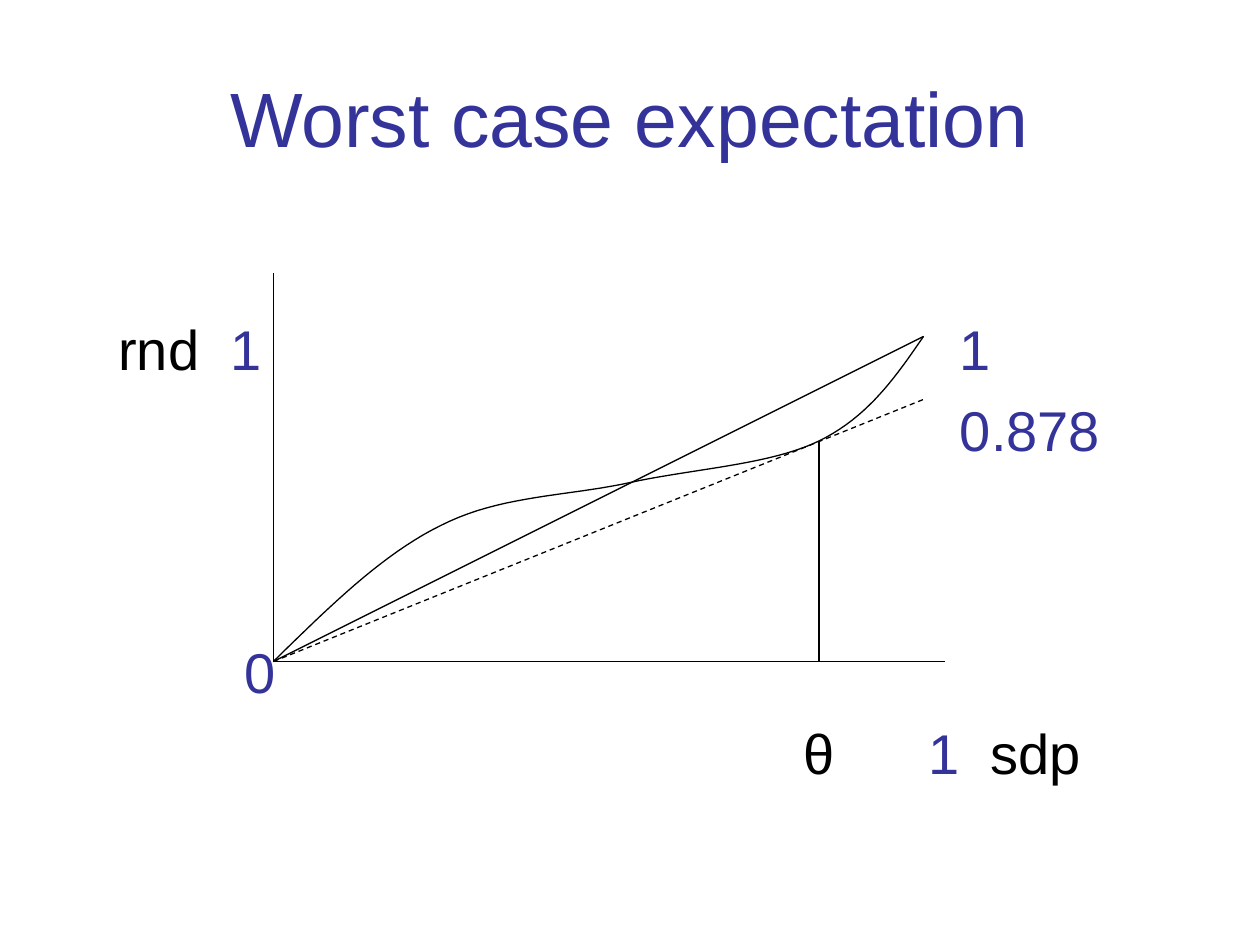
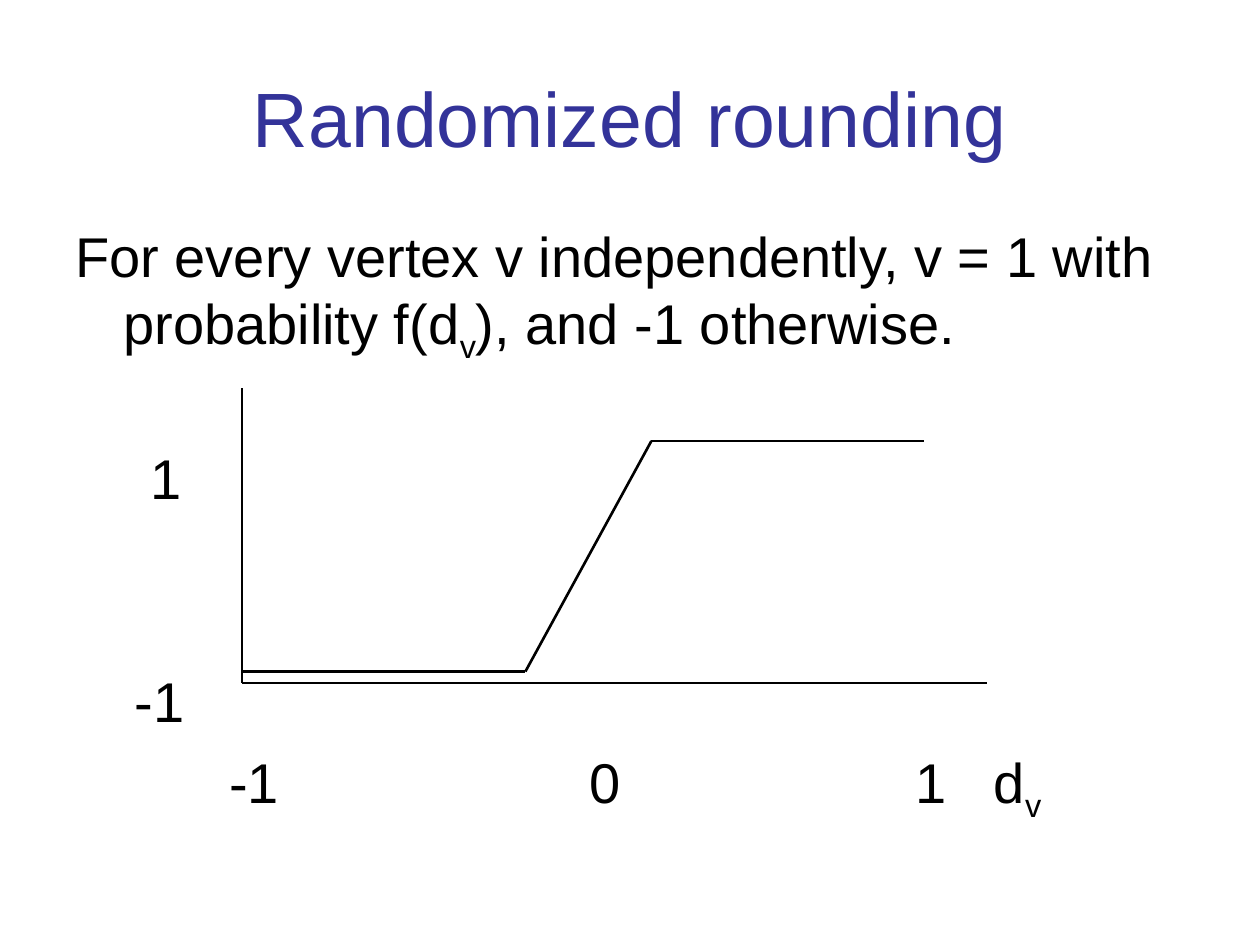
from itertools import pairwise

from lxml.etree import SubElement
from pptx import Presentation
from pptx.dml.color import RGBColor
from pptx.enum.dml import MSO_LINE
from pptx.enum.shapes import MSO_CONNECTOR
from pptx.enum.text import MSO_ANCHOR, PP_ALIGN
from pptx.oxml.ns import qn
from pptx.util import Inches, Pt

FONT = "Arial"
BLUE, BLACK = "333399", "000000"
BODY_SIZE = 32
THIN, THICK = 0.75, 1.5


def rgb(color):
    return RGBColor.from_string(color)


def bezier(p0, p1, p2, p3, steps=20):
    """Points on a cubic curve, without its start point."""
    for i in range(1, steps + 1):
        t = i / steps
        weights = (1 - t) ** 3, 3 * t * (1 - t) ** 2, 3 * t**2 * (1 - t), t**3
        yield tuple(sum(w * c for w, c in zip(weights, coords))
                    for coords in zip(p0, p1, p2, p3))


class Deck:
    def __init__(self):
        self.prs = Presentation()
        self.prs.slide_width, self.prs.slide_height = Inches(10), Inches(7.5)
        self.shapes = None

    def slide(self, title):
        self.shapes = self.prs.slides.add_slide(self.prs.slide_layouts[6]).shapes
        p = self.text(0.5, 0.3, 9, 1.25, [title], BLUE, 44)
        p.alignment = PP_ALIGN.CENTER

    def text(self, x, y, w, h, parts, color=BLACK, size=BODY_SIZE):
        """Parts alternate between normal text and subscripts."""
        box = self.shapes.add_textbox(Inches(x), Inches(y), Inches(w), Inches(h))
        tf = box.text_frame
        tf.word_wrap = True
        tf.vertical_anchor = MSO_ANCHOR.MIDDLE if size > BODY_SIZE else MSO_ANCHOR.TOP
        p = tf.paragraphs[0]
        for i, part in enumerate(parts):
            r = p.add_run()
            r.text = part
            if i % 2:
                r.font._element.set("baseline", "-25000")
        p.font.name, p.font.size = FONT, Pt(size)
        p.font.color.rgb = rgb(color)
        return p

    def body(self, *parts):
        p = self.text(0.5, 1.77, 9, 1.2, parts)
        p.line_spacing = 0.9
        pPr = p._p.get_or_add_pPr()
        pPr.set("marL", str(Inches(0.38)))
        pPr.set("indent", str(-Inches(0.38)))

    def label(self, x, y, *parts, color=BLACK):
        """Short text whose first letter starts at x, y."""
        self.text(x - 0.1, y - 0.05, 1.6, 0.61, parts, color)

    def line(self, start, end, width=THIN, dashed=False):
        ends = [Inches(v) for v in (*start, *end)]
        c = self.shapes.add_connector(MSO_CONNECTOR.STRAIGHT, *ends)
        c.line.color.rgb = rgb(BLACK)
        c.line.width = Pt(width)
        if dashed:
            c.line.dash_style = MSO_LINE.DASH
        SubElement(c._element.spPr, qn("a:effectLst"))

    def curve(self, start, segments):
        points = []
        begin = start
        for segment in segments:
            points += bezier(begin, *segment)
            begin = segment[-1]
        builder = self.shapes.build_freeform(*map(Inches, start))
        builder.add_line_segments([tuple(map(Inches, pt)) for pt in points], close=False)
        sp = builder.convert_to_shape()
        sp.shadow.inherit = False
        sp.fill.background()
        sp.line.color.rgb = rgb(BLACK)
        sp.line.width = Pt(THIN)


def worst_case(deck):
    deck.slide("Worst case expectation")
    top, pitch = 2.5, 0.64
    for x, row, text, color in (
        (0.94, 0, "rnd", BLACK), (1.83, 0, "1", BLUE), (7.62, 0, "1", BLUE),
        (7.62, 1, "0.878", BLUE), (1.94, 4, "0", BLUE),
        (6.38, 5, "θ", BLACK), (7.37, 5, "1", BLUE), (7.86, 5, "sdp", BLACK),
    ):
        deck.label(x, top + row * pitch, text, color=color)

    origin, tangent, end = (2.17, 5.25), (6.5, 3.5), (7.33, 2.67)
    deck.line((2.17, 2.17), origin)
    deck.line(origin, (7.5, 5.25))
    deck.line(origin, end)
    deck.curve(origin, [
        ((2.6, 4.83), (3.03, 4.4), (3.5, 4.17)),
        ((3.97, 3.93), (4.5, 3.94), (5, 3.83)),
        ((5.5, 3.72), (6.11, 3.69), tangent),
        ((6.89, 3.31), (7.11, 2.99), end),
    ])
    deck.line(tangent, (6.5, 5.25))
    deck.line(origin, (7.33, 3.17), dashed=True)


def rounding(deck):
    deck.slide("Randomized rounding")
    deck.body("For every vertex v independently, v = 1 with probability f(d",
              "v", "), and -1 otherwise.")
    deck.label(1.2, 3.52, "1")
    deck.label(1.07, 5.29, "-1")
    for x, parts in ((1.82, ["-1"]), (4.68, ["0"]), (7.27, ["1"]), (7.89, ["d", "v"])):
        deck.label(x, 5.93, *parts)

    origin = (1.92, 5.42)
    deck.line(origin, (7.83, 5.42))
    deck.line(origin, (1.92, 3.08))
    steps = [(1.92, 5.33), (4.17, 5.33), (5.17, 3.5), (7.33, 3.5)]
    for start, end in pairwise(steps):
        deck.line(start, end, THICK)


def main():
    deck = Deck()
    worst_case(deck)
    rounding(deck)
    deck.prs.save("out.pptx")


if __name__ == "__main__":
    main()
